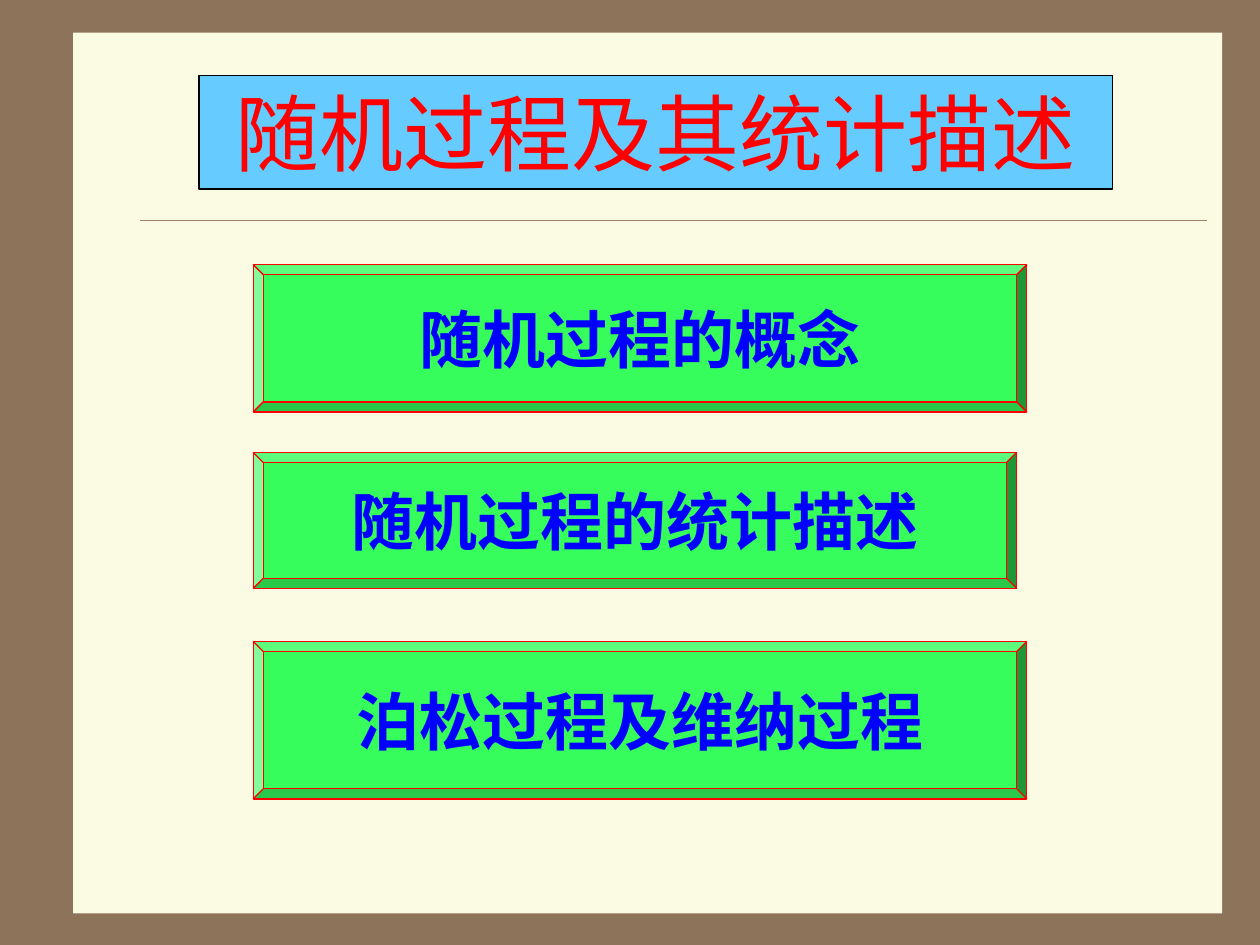
from lxml import etree
from pptx import Presentation, util as u
from pptx.dml.color import RGBColor
from pptx.enum import shapes, text
from pptx.oxml.ns import qn

theme = {
    "frame": "8C735A", "paper": "FBFAE2", "rule": "A08366",
    "title": {"fill": "66CCFF", "line": "000000", "color": "FF0000",
              "font": {"size": u.Pt(48), "name": "Times New Roman", "bold": False}},
    "topic": {"fill": "36FC5C", "line": "FF0000", "color": "0000FF",
              "font": {"size": u.Pt(36), "name": "Noto Sans CJK SC", "bold": True}},
    "east_asian": "Noto Sans CJK SC",
}
bevel_depth = 0.08
topics = [
    ("随机过程的概念", 2.1, 6.14, 1.17),
    ("随机过程的统计描述", 3.59, 6.06, 1.08),
    ("泊松过程及维纳过程", 5.09, 6.14, 1.25),
]


def add_box(s, kind, box, fill, line=None):
    sp = s.shapes.add_shape(kind, *map(u.Inches, box))
    sp.shadow.inherit = False
    sp.fill.solid()
    sp.fill.fore_color.rgb = RGBColor.from_string(fill)
    if line:
        sp.line.color.rgb = RGBColor.from_string(line)
        sp.line.width = u.Pt(0.74)
    else:
        sp.line.fill.background()
    return sp


def add_label(s, kind, box, words, style, wrap):
    sp = add_box(s, kind, box, style["fill"], style["line"])
    tf = sp.text_frame
    frame = {"word_wrap": wrap, "vertical_anchor": text.MSO_ANCHOR.MIDDLE,
             "margin_left": u.Inches(0.1), "margin_right": u.Inches(0.1),
             "margin_top": u.Inches(0.05), "margin_bottom": u.Inches(0.05)}
    for key, value in frame.items():
        setattr(tf, key, value)
    p = tf.paragraphs[0]
    p.alignment = text.PP_ALIGN.CENTER
    r = p.add_run()
    r.text = words
    for key, value in style["font"].items():
        setattr(r.font, key, value)
    r.font.color.rgb = RGBColor.from_string(style["color"])
    ea = etree.Element(qn("a:ea"), typeface=theme["east_asian"])
    r.font._element.find(qn("a:latin")).addnext(ea)
    return sp


prs = Presentation()
prs.slide_width, prs.slide_height = u.Inches(10), u.Inches(7.5)
s = prs.slides.add_slide(prs.slide_layouts[6])
s.background.fill.solid()
s.background.fill.fore_color.rgb = RGBColor.from_string(theme["frame"])

add_box(s, shapes.MSO_SHAPE.RECTANGLE, (0.58, 0.26, 9.12, 6.99), theme["paper"])

rule = s.shapes.add_connector(shapes.MSO_CONNECTOR.STRAIGHT,
                              *map(u.Inches, (1.11, 1.75, 9.58, 1.75)))
rule.line.color.rgb = RGBColor.from_string(theme["rule"])
rule.line.width = u.Pt(0.26)
etree.SubElement(rule._element.spPr, qn("a:effectLst"))

add_label(s, shapes.MSO_SHAPE.RECTANGLE, (1.58, 0.6, 7.25, 0.9),
          "随机过程及其统计描述", theme["title"], True)

for words, top, width, height in topics:
    sp = add_label(s, shapes.MSO_SHAPE.BEVEL, (2.01, top, width, height),
                   words, theme["topic"], False)
    sp.adjustments[0] = bevel_depth / height

prs.save("out.pptx")
